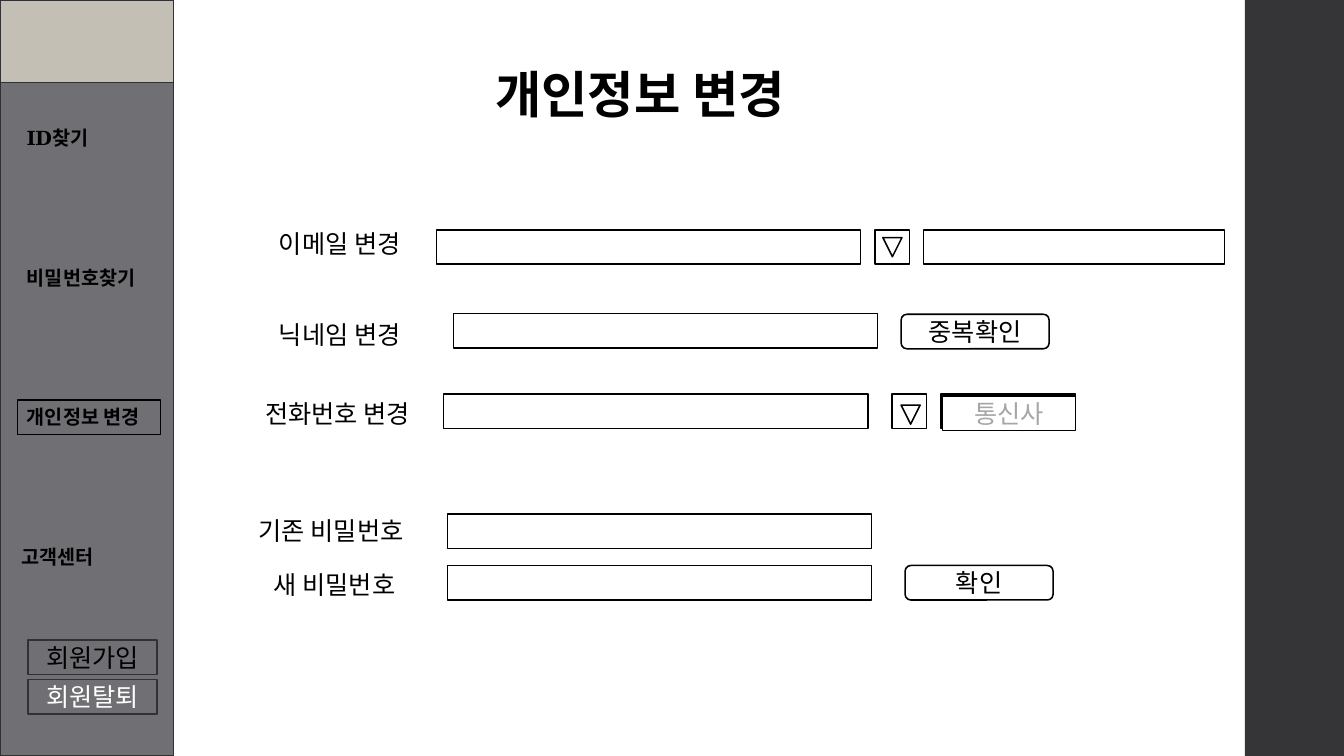
"""Builds the account settings wireframe slide."""
from dataclasses import dataclass
from typing import Optional

from pptx import Presentation
from pptx import util as u
from pptx.dml.color import RGBColor
from pptx.enum import shapes, text

FONT = "TeX Gyre Schola"
HUES = {
    "black": "000000", "white": "FFFFFF", "edge": "313133", "band": "353537",
    "sand": "C3BFB5", "slate": "6F6F74", "hint": "A6A6A6",
}
KIND = shapes.MSO_SHAPE
ROW = 0.87
FIELD = 10.69
MARK = 0.48
MENU = 3.61


@dataclass
class Box:
    x: float
    y: float
    w: float
    h: float = ROW
    fill: Optional[str] = "white"
    line: Optional[str] = "black"
    kind: int = KIND.RECTANGLE
    label: str = ""
    ink: str = "black"
    width: float = 1.1


@dataclass
class Label:
    x: float
    y: float
    w: float
    h: float
    words: str
    size: int = 18
    bold: bool = False
    mid: bool = False


def tint(name: str) -> RGBColor:
    return RGBColor.from_string(HUES[name])


def write(frame, words: str, size: int, ink: str, bold: bool, mid: bool) -> None:
    frame.word_wrap = True
    para = frame.paragraphs[0]
    para.alignment = text.PP_ALIGN.CENTER if mid else text.PP_ALIGN.LEFT
    run = para.add_run()
    run.text = words
    run.font.name = FONT
    run.font.size = u.Pt(size)
    run.font.bold = bold
    run.font.color.rgb = tint(ink)


def draw_box(slide, box: Box) -> None:
    shape = slide.shapes.add_shape(
        box.kind, u.Cm(box.x), u.Cm(box.y), u.Cm(box.w), u.Cm(box.h))
    shape.shadow.inherit = False
    if box.fill:
        shape.fill.solid()
        shape.fill.fore_color.rgb = tint(box.fill)
    else:
        shape.fill.background()
    if box.line:
        shape.line.color.rgb = tint(box.line)
        shape.line.width = u.Pt(box.width)
    else:
        shape.line.fill.background()
    if box.label:
        shape.text_frame.vertical_anchor = text.MSO_ANCHOR.MIDDLE
        write(shape.text_frame, box.label, 18, box.ink, False, True)


def draw_label(slide, label: Label) -> None:
    area = slide.shapes.add_textbox(
        u.Cm(label.x), u.Cm(label.y), u.Cm(label.w), u.Cm(label.h))
    write(area.text_frame, label.words, label.size, "black", label.bold, label.mid)


PANELS = [
    Box(31.37, 0, 2.5, 19.05, "band", None),
    Box(0, 0, 4.37, 19.05, "sand", "edge"),
    Box(0, 2.08, 4.37, 16.97, "slate", "edge"),
    Box(0.43, 10.08, MENU, fill=None, width=0.75),
]
FIELDS = [
    Box(x, y, FIELD) for x, y in
    [(11, 5.79), (11.43, 7.9), (11.18, 9.93), (11.28, 12.95), (11.28, 14.25)]
]
PICKS = [
    Box(23.27, 5.79, 7.59),
    Box(22.05, 5.79, ROW),
    Box(22.25, 5.99, MARK, MARK, kind=KIND.FLOWCHART_MERGE),
    Box(22.48, 9.93, ROW),
    Box(22.71, 10.21, MARK, MARK, kind=KIND.FLOWCHART_MERGE),
    Box(23.72, 9.93, 3.38),
    Box(23.75, 9.98, 3.35, label="통신사", ink="hint"),
]
CHECKS = [
    Box(x, y, 3.73, kind=KIND.ROUNDED_RECTANGLE, label=words) for x, y, words in
    [(22.71, 7.92, "중복확인"), (22.81, 14.25, "확인")]
]
JOINS = [
    Box(0.71, y, 3.25, fill="slate", line="edge", label=words, ink=ink)
    for y, words, ink in [(16.13, "회원가입", "black"), (17.12, "회원탈퇴", "white")]
]
LINKS = [
    Label(x, 3.05 + 3.52 * i, MENU, ROW, words, 14, True) for i, (x, words) in
    enumerate([(0.43, "ID찾기"), (0.43, "비밀번호찾기"),
               (0.43, "개인정보 변경"), (0.18, " 고객센터")])
]
LABELS = [
    Label(10.39, 1.47, 11.48, 1.8, "개인정보 변경", 36, True, True),
    Label(6.78, 5.64, 4.85, 1.02, "이메일 변경"),
    Label(6.78, 7.92, 3.94, 1.8, "닉네임 변경"),
    Label(6.43, 9.91, 4.85, 1.02, "전화번호 변경"),
    Label(6.27, 12.85, 6.93, 1.02, "기존 비밀번호"),
    Label(6.65, 14.22, 5, 1.02, "새 비밀번호"),
]


def main() -> None:
    deck = Presentation()
    deck.slide_width, deck.slide_height = u.Cm(33.87), u.Cm(19.05)
    slide = deck.slides.add_slide(deck.slide_layouts[6])
    for box in PANELS + FIELDS + PICKS + CHECKS + JOINS:
        draw_box(slide, box)
    for label in LINKS + LABELS:
        draw_label(slide, label)
    deck.save("out.pptx")


if __name__ == "__main__":
    main()
